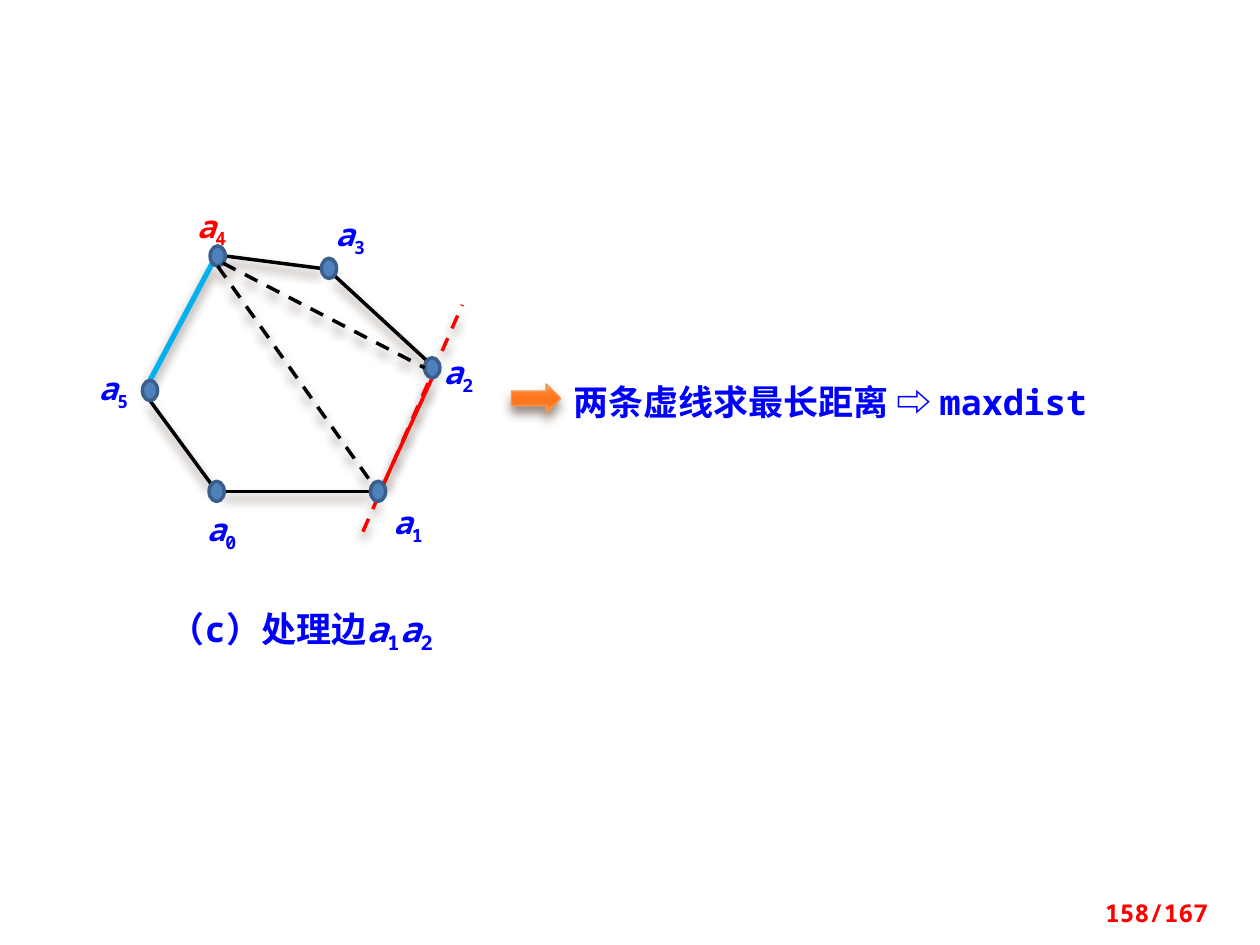
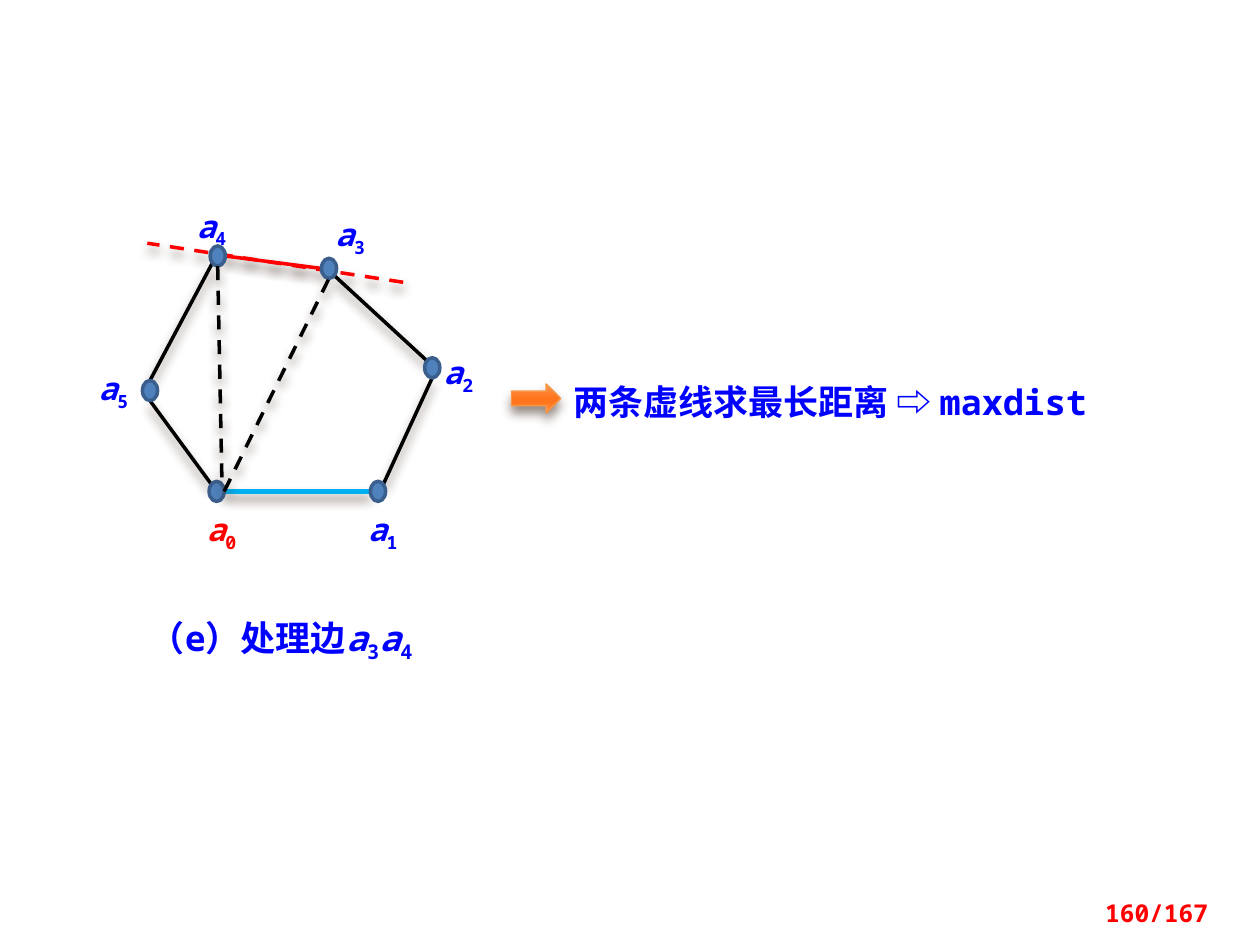
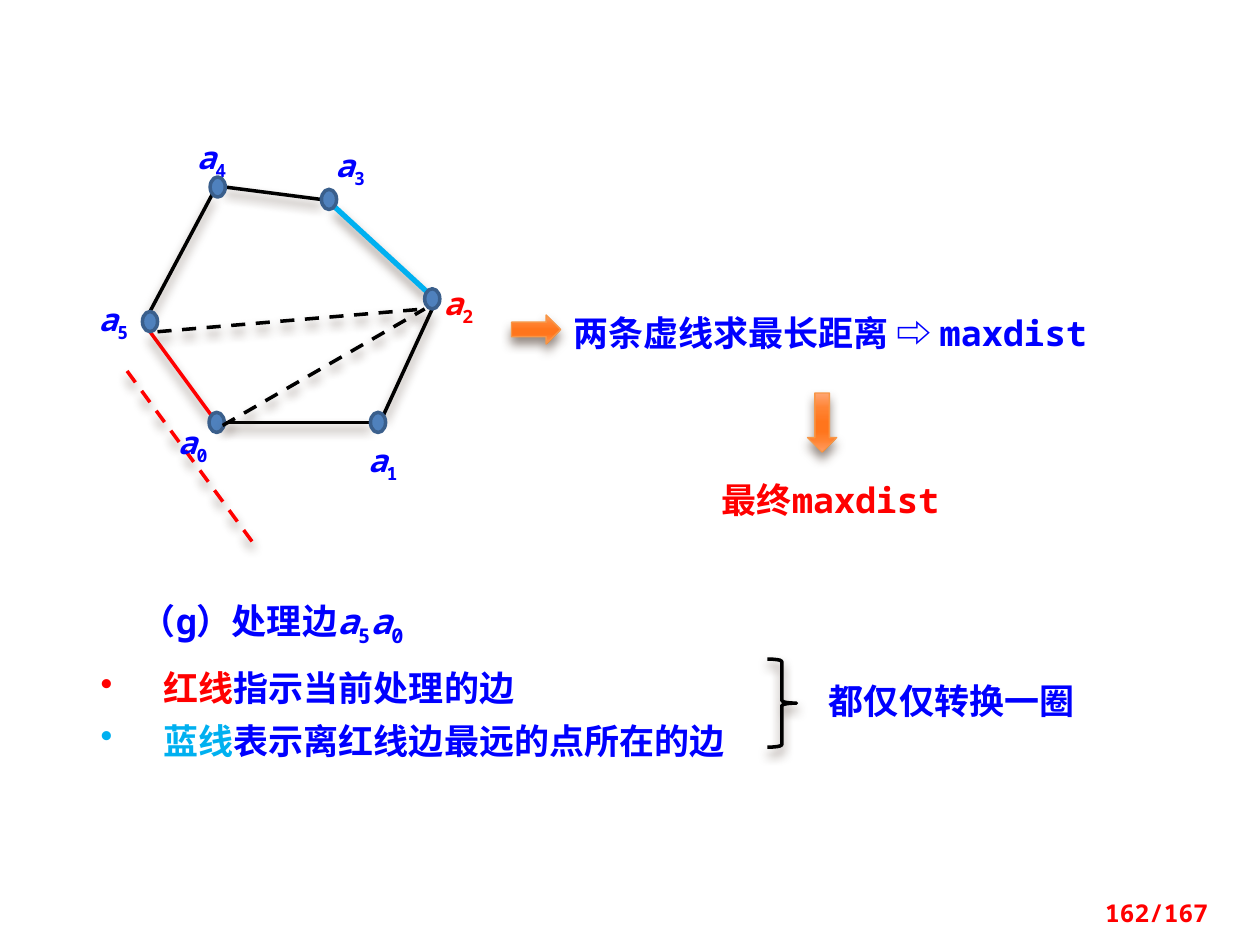
from dataclasses import dataclass, field
from typing import NamedTuple

import lxml.etree
import pptx
import pptx.dml.color
import pptx.enum.dml
import pptx.enum.shapes
import pptx.enum.text
import pptx.oxml.ns
import pptx.util

Pt = pptx.util.Pt
qn = pptx.oxml.ns.qn
SHAPES = pptx.enum.shapes.MSO_SHAPE
ALIGN = pptx.enum.text.PP_ALIGN

COLORS = {
    "text": "0000FF", "current": "FF0000", "farthest": "00B0F0", "edge": "000000",
    "vertex": "4F81BD", "vertex line": "3A5F8C", "paper": "FFFFFF",
    "arrow line": "F79646", "shadow": "4E3B30",
}
ARROW_STOPS = [(0, "FFA573"), (25, "FF8434"), (50, "FF751C"),
               (65, "FF751C"), (80, "FF8332"), (100, "FF9C66")]
MONO, CJK = "Noto Sans Mono", "Noto Sans CJK JP"
DOT_W, DOT_H = 8.64, 11.52
LABEL_W, LABEL_H = 22.3, 21.6
DIAG = 0.71

VERTICES = [(123.8, 280.8), (216, 280.8), (247, 210.2),
            (188, 153.4), (124.4, 146.3), (85.7, 223.2)]
LABELS = [(118, 291.6), (210.2, 291.6), (253.4, 201.6),
          (191.5, 123.1), (112.3, 118.1), (56.2, 211)]


class Site(NamedTuple):
    """A point at a vertex, offset by fractions of the dot's radii."""
    vertex: int
    dx: float
    dy: float


class Span(NamedTuple):
    text: str
    color: str = "text"
    italic: bool = False
    subscript: bool = False


class Box(NamedTuple):
    left: float
    top: float
    width: float
    height: float


EDGES = [
    (Site(0, 1, 0), Site(1, -1, 0)),
    (Site(1, DIAG, -DIAG), Site(2, 0, 1)),
    (Site(2, -DIAG, -DIAG), Site(3, DIAG, DIAG)),
    (Site(3, -1, 0), Site(4, 1, 0)),
    (Site(4, -DIAG, DIAG), Site(5, 0, -1)),
    (Site(0, -DIAG, -DIAG), Site(5, 0, 1)),
]


@dataclass
class Step:
    letter: str
    page: int
    current_edge: int
    farthest_edge: int
    farthest_vertex: int
    tangent: tuple
    diagonals: list
    caption: Box
    rise: float = 0
    moved_labels: dict = field(default_factory=dict)


STEPS = [
    Step("c", 158, 1, 4, 4, ((207.4, 303.8), (264.2, 174.2)),
         [(Site(4, 0, 1), Site(1, -DIAG, -DIAG)),
          (Site(4, DIAG, DIAG), Site(2, -1, 0))],
         Box(90, 343.4, 202.3, 31.7), moved_labels={1: (224.6, 287.3)}),
    Step("e", 160, 3, 0, 0, ((230.4, 161.3), (84.2, 139)),
         [(Site(4, 0, 1), Site(0, DIAG, -DIAG)),
          (Site(0, 1, 0), Site(3, 0, 1))],
         Box(78.5, 348.5, 180, 31.7)),
    Step("g", 162, 5, 2, 2, ((144, 309.4), (69.1, 207.2)),
         [(Site(5, 1, 1), Site(2, -1, 1)),
          (Site(0, 0.8, 0.3), Site(2, -1, 1))],
         Box(73.4, 338.9, 180, 31.7), rise=39.4, moved_labels={0: (101.5, 281.3)}),
]


def rgb(name: str) -> pptx.dml.color.RGBColor:
    return pptx.dml.color.RGBColor.from_string(COLORS[name])


def apply(target, values: dict) -> None:
    for name, value in values.items():
        setattr(target, name, value)


def add_shadow(part) -> None:
    properties = part._element.spPr
    effects = properties.find(qn("a:effectLst"))
    if effects is None:
        effects = lxml.etree.SubElement(properties, qn("a:effectLst"))
    outer = lxml.etree.SubElement(
        effects, qn("a:outerShdw"), blurRad=str(Pt(6)), dist=str(Pt(4)),
        dir="5400000", rotWithShape="0")
    tint = lxml.etree.SubElement(outer, qn("a:srgbClr"), val=COLORS["shadow"])
    lxml.etree.SubElement(tint, qn("a:alpha"), val="60000")


def add_line(slide, start: tuple, end: tuple, color: str = "edge",
             width: float = 2, dashed: bool = False) -> None:
    line = slide.shapes.add_connector(
        pptx.enum.shapes.MSO_CONNECTOR.STRAIGHT, *map(Pt, start + end))
    line.line.color.rgb = rgb(color)
    line.line.width = Pt(width)
    if dashed:
        line.line.dash_style = pptx.enum.dml.MSO_LINE.DASH
    add_shadow(line)


def add_preset(slide, kind, box: Box, line_color: str, line_width: float):
    preset = slide.shapes.add_shape(kind, *map(Pt, box))
    preset.shadow.inherit = False
    preset.line.color.rgb = rgb(line_color)
    preset.line.width = Pt(line_width)
    return preset


def add_block_arrow(slide, kind, box: Box) -> None:
    arrow = add_preset(slide, kind, box, "arrow line", 0.79)
    arrow.fill.gradient()
    arrow.fill.gradient_angle = 270
    stops = arrow._element.spPr.find(qn("a:gradFill")).find(qn("a:gsLst"))
    stops.clear()
    for percent, color in ARROW_STOPS:
        stop = lxml.etree.SubElement(stops, qn("a:gs"), pos=str(percent * 1000))
        lxml.etree.SubElement(stop, qn("a:srgbClr"), val=color)
    add_shadow(arrow)


def add_text(slide, box: Box, paragraphs: list, size: float = 20, font: str = MONO,
             inset: bool = True, bullets: bool = False, align=ALIGN.LEFT, grow: bool = True):
    area = slide.shapes.add_textbox(*map(Pt, box))
    frame = area.text_frame
    sizing = pptx.enum.text.MSO_AUTO_SIZE
    apply(frame, {"word_wrap": True,
                  "auto_size": sizing.SHAPE_TO_FIT_TEXT if grow else sizing.NONE})
    if not inset:
        apply(frame, dict.fromkeys(
            ("margin_left", "margin_top", "margin_right", "margin_bottom"), 0))
    for index, spans in enumerate(paragraphs):
        paragraph = frame.add_paragraph() if index else frame.paragraphs[0]
        paragraph.alignment = align
        if bullets:
            properties = paragraph._p.get_or_add_pPr()
            apply_indent = {"marL": str(Pt(36)), "indent": str(Pt(-36))}
            properties.attrib.update(apply_indent)
            lxml.etree.SubElement(properties, qn("a:buChar"), char="•")
            paragraph.line_spacing = Pt(30)
        for span in spans:
            run = paragraph.add_run()
            run.text = span.text
            apply(run.font, {"name": font, "size": Pt(size), "bold": True,
                             "italic": span.italic})
            run.font.color.rgb = rgb(span.color)
            style = run._r.get_or_add_rPr()
            style.find(qn("a:latin")).addnext(
                lxml.etree.Element(qn("a:ea"), typeface=CJK))
            if span.subscript:
                style.set("baseline", "-25000")
    return area


def vertex_name(index: int, color: str = "text") -> list[Span]:
    return [Span("a", color, italic=True), Span(str(index), color, subscript=True)]


def draw_polygon(slide, step: Step) -> None:
    def locate(site: Site) -> tuple:
        x, y = VERTICES[site.vertex]
        return x + site.dx * DOT_W / 2, y + site.dy * DOT_H / 2 - step.rise

    add_line(slide, *step.tangent, color="current", dashed=True)
    for index, (start, end) in enumerate(EDGES):
        color, width = {step.current_edge: ("current", 2),
                        step.farthest_edge: ("farthest", 3)}.get(index, ("edge", 2))
        add_line(slide, locate(start), locate(end), color, width)
    for index, (x, y) in enumerate(VERTICES):
        left, top = step.moved_labels.get(index, LABELS[index])
        color = "current" if index == step.farthest_vertex else "text"
        add_text(slide, Box(left, top - step.rise, LABEL_W, LABEL_H),
                 [vertex_name(index, color)], size=18, inset=False)
        dot = add_preset(
            slide, SHAPES.OVAL,
            Box(x - DOT_W / 2, y - DOT_H / 2 - step.rise, DOT_W, DOT_H), "vertex line", 2)
        dot.fill.solid()
        dot.fill.fore_color.rgb = rgb("vertex")
    for start, end in step.diagonals:
        add_line(slide, locate(start), locate(end), dashed=True)


def draw_step(slide, step: Step) -> None:
    draw_polygon(slide, step)
    add_text(slide, Box(320.4, 213.8 - step.rise, 315.4, 31.7),
             [[Span("两条虚线求最长距离 ⇨ maxdist")]])
    add_block_arrow(slide, SHAPES.RIGHT_ARROW,
                    Box(292.3, 219.4 - step.rise, 28.1, 16.6))
    edge_end = (step.current_edge + 1) % len(VERTICES)
    caption = add_text(slide, step.caption, [
        [Span(f"（{step.letter}）处理边"),
         *vertex_name(step.current_edge), *vertex_name(edge_end)]])
    caption.fill.solid()
    caption.fill.fore_color.rgb = rgb("paper")
    add_text(slide, Box(613.4, 509.8, 84.2, 18.7),
             [[Span(f"{step.page}/167", "current")]], size=14,
             align=ALIGN.RIGHT, grow=False)


def draw_conclusion(slide) -> None:
    add_text(slide, Box(50.4, 371.5, 382.3, 67.7), [
        [Span("红线", "current"), Span("指示当前处理的边")],
        [Span("蓝线", "farthest"), Span("表示离红线边最远的点所在的边")],
    ], bullets=True)
    add_text(slide, Box(466.6, 384.5, 174.2, 31.7), [[Span("都仅仅转换一圈")]], font=CJK)
    brace = add_preset(slide, SHAPES.RIGHT_BRACE, Box(438.5, 376.6, 16.6, 50.4), "edge", 2)
    brace.fill.background()
    add_shadow(brace)
    add_block_arrow(slide, SHAPES.DOWN_ARROW, Box(461.5, 224.6, 16.6, 33.8))
    add_text(slide, Box(405.4, 270, 140.4, 31.7), [[Span("最终maxdist", "current")]])


def main() -> None:
    deck = pptx.Presentation()
    apply(deck, {"slide_width": Pt(720), "slide_height": Pt(540)})
    blank = deck.slide_layouts[6]
    for step in STEPS:
        slide = deck.slides.add_slide(blank)
        draw_step(slide, step)
    draw_conclusion(slide)
    deck.save("out.pptx")


if __name__ == "__main__":
    main()
